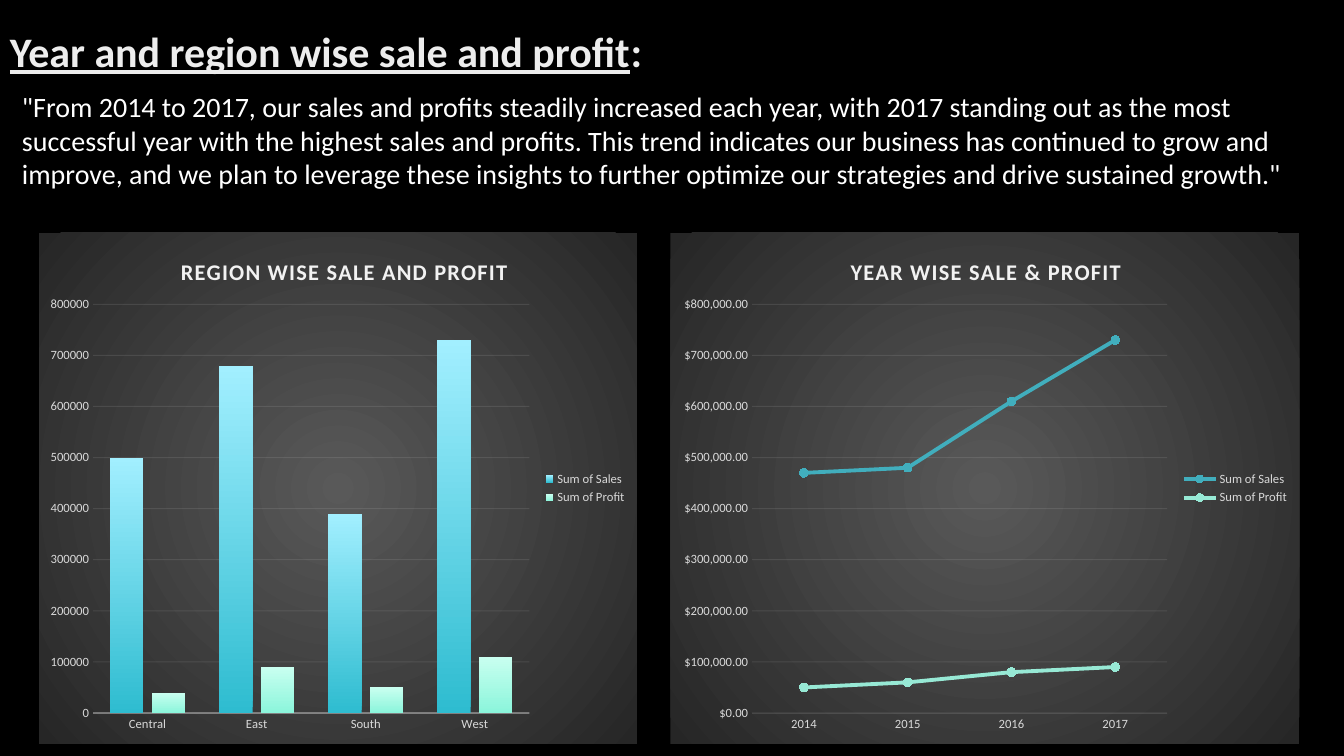
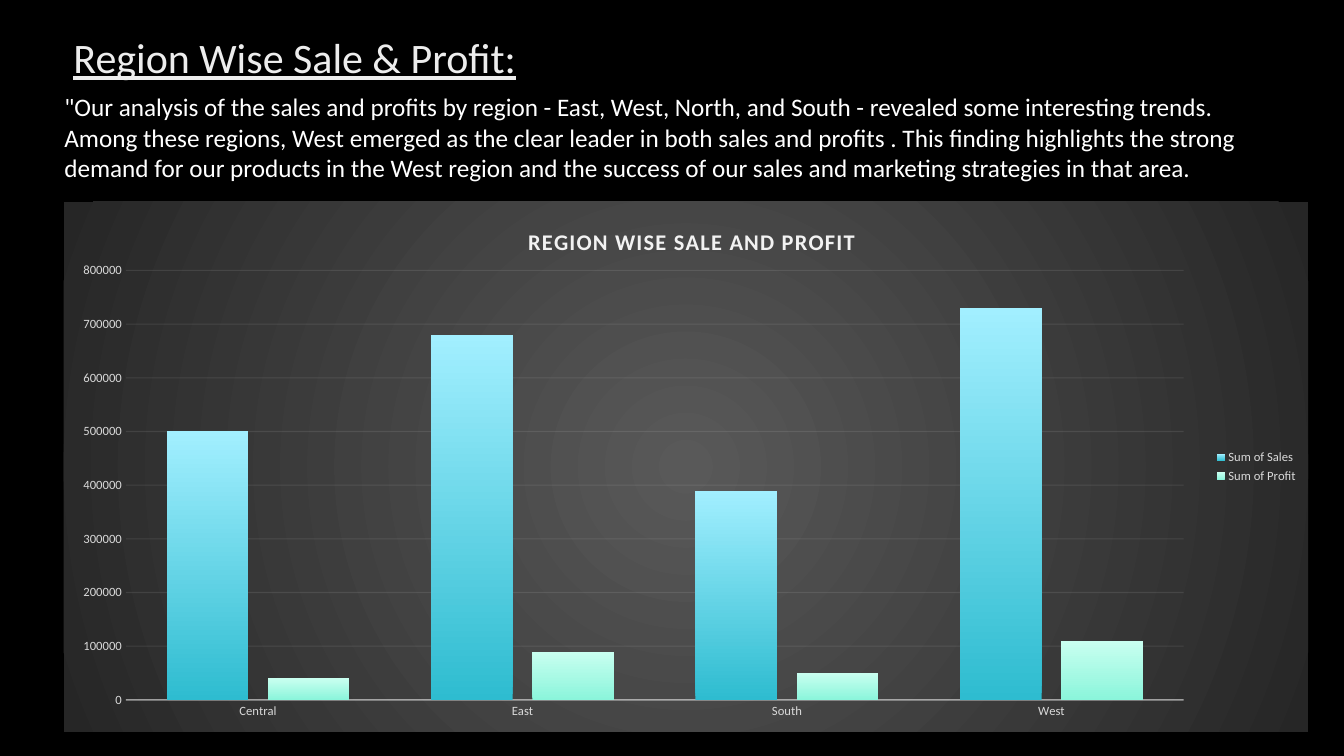
"""Build two dark slides showing sales and profit by region and by year."""
from lxml.etree import SubElement
from pptx import Presentation
from pptx.chart.data import CategoryChartData
from pptx.dml.color import RGBColor
from pptx.enum.chart import XL_CHART_TYPE as CT, XL_LEGEND_POSITION as LP
from pptx.enum.chart import XL_MARKER_STYLE as MS, XL_TICK_MARK as TM
from pptx.enum.text import MSO_ANCHOR as ANCHOR
from pptx.oxml import parse_xml
from pptx.oxml.ns import nsdecls, qn
from pptx.util import Pt

FONT = "Calibri"
WHITE, TITLE, LABEL, RULE = "FFFFFF", "EDEDED", "D9D9D9", "F2F2F2"
BAR_GRADIENTS = [("2EBCD0", "A2EFFF"), ("8BF5DB", "C9FFF0")]
LINE_COLOURS = ["41AEBD", "97E9D5"]
BACKDROP = f"""<c:spPr {nsdecls("c", "a")}><a:gradFill><a:gsLst>
<a:gs pos="0"><a:srgbClr val="595959"/></a:gs>
<a:gs pos="100000"><a:srgbClr val="262626"/></a:gs></a:gsLst>
<a:path path="circle"><a:fillToRect l="50000" t="50000" r="50000" b="50000"/></a:path>
</a:gradFill><a:ln><a:noFill/></a:ln></c:spPr>"""

REGIONS = ["Central", "East", "South", "West"]
REGION_SALES = [500000, 680000, 390000, 730000]
REGION_PROFIT = [40000, 90000, 50000, 110000]
YEARS = ["2014", "2015", "2016", "2017"]
YEAR_SALES = [470000, 480000, 610000, 730000]
YEAR_PROFIT = [50000, 60000, 80000, 90000]

BY_REGION = dict(kind=CT.COLUMN_CLUSTERED, title="REGION WISE SALE AND PROFIT",
                 cats=REGIONS, values=[REGION_SALES, REGION_PROFIT],
                 fmt="General", axis_line=(1, 54))
BY_YEAR = dict(kind=CT.LINE_MARKERS, title="YEAR WISE SALE & PROFIT",
               cats=YEARS, values=[YEAR_SALES, YEAR_PROFIT],
               fmt='"$"#,##0.00', axis_line=(0.75, 10))

SLIDES = [
    dict(title_box=(0, 8.6, 518, 60), bold=True,
         title=[("Year and region wise sale and profit", True), (":", False)],
         body_box=(8.6, 60.5, 940, 80), body_size=20,
         body='"From 2014 to 2017, our sales and profits steadily increased each year, '
              'with 2017 standing out as the most successful year with the highest sales '
              'and profits. This trend indicates our business has continued to grow and '
              'improve, and we plan to leverage these insights to further optimize our '
              'strategies and drive sustained growth."',
         charts=[(BY_REGION, (28, 166.3, 427, 365), (0.23, 0.04),
                  (0.09, 0.14, 0.73, 0.8)),
                 (BY_YEAR, (478.8, 166.3, 449.3, 365), (0.28, 0.04),
                  (0.13, 0.14, 0.66, 0.8))]),
    dict(title_box=(45.4, 14.4, 818, 57), bold=False,
         title=[("Region Wise Sale & Profit:", True)],
         body_box=(38.9, 62, 889, 72.7), body_size=18,
         body='"Our analysis of the sales and profits by region - East, West, North, and '
              'South - revealed some interesting trends. Among these regions, West emerged '
              'as the clear leader in both sales and profits . This finding highlights the '
              'strong demand for our products in the West region and the success of our '
              'sales and marketing strategies in that area.',
         charts=[(BY_REGION, (45.4, 144, 889, 378.7), (0.37, 0.04),
                  (0.05, 0.13, 0.85, 0.81))]),
]


def rgb(value):
    return RGBColor.from_string(value)


def style(font, size, colour, bold=False):
    font.name, font.size, font.bold = FONT, Pt(size), bold
    font.color.rgb = rgb(colour)


prs = Presentation()
prs.slide_width, prs.slide_height = Pt(960), Pt(540)

for page in SLIDES:
    slide = prs.slides.add_slide(prs.slide_layouts[6])
    slide.background.fill.solid()
    slide.background.fill.fore_color.rgb = rgb("000000")

    tf = slide.shapes.add_textbox(*map(Pt, page["title_box"])).text_frame
    tf.word_wrap, tf.vertical_anchor = True, ANCHOR.MIDDLE
    p = tf.paragraphs[0]
    p.line_spacing = 0.9
    for text, underlined in page["title"]:
        r = p.add_run()
        r.text = text
        style(r.font, 30, TITLE, page["bold"])
        r.font.underline = underlined

    for data, box, title_at, plot_at in page["charts"]:
        cd = CategoryChartData()
        cd.categories = data["cats"]
        for name, values in zip(["Sum of Sales", "Sum of Profit"], data["values"]):
            cd.add_series(name, values)
        chart = slide.shapes.add_chart(data["kind"], *map(Pt, box), cd).chart
        style(chart.font, 10, WHITE)
        chart._chartSpace.chart.addnext(parse_xml(BACKDROP))

        chart.has_title = True
        r = chart.chart_title.text_frame.paragraphs[0].add_run()
        r.text = data["title"]
        style(r.font, 16, RULE, True)
        r._r.get_or_add_rPr().set("spc", "100")

        chart.has_legend = True
        chart.legend.position = LP.RIGHT
        chart.legend.include_in_layout = False
        style(chart.legend.font, 9, LABEL)

        cat, val = chart.category_axis, chart.value_axis
        for axis in (cat, val):
            axis.major_tick_mark = axis.minor_tick_mark = TM.NONE
            style(axis.tick_labels.font, 9, LABEL)
        val.minimum_scale, val.maximum_scale, val.major_unit = 0, 800000, 100000
        val.tick_labels.number_format = data["fmt"]
        val.tick_labels.number_format_is_linked = False
        val.format.line.fill.background()
        for line, (width, opacity) in [(cat.format.line, data["axis_line"]),
                                       (val.major_gridlines.format.line, (0.75, 10))]:
            line.width = Pt(width)
            line.color.rgb = rgb(RULE)
            colour = line._ln.find(".//" + qn("a:srgbClr"))
            SubElement(colour, qn("a:alpha"), val=str(opacity * 1000))

        plot = chart.plots[0]
        plot.vary_by_categories = False
        if data["kind"] == CT.COLUMN_CLUSTERED:
            plot.gap_width, plot.overlap = 100, -24
            for series, colours in zip(plot.series, BAR_GRADIENTS):
                fill = series.format.fill
                fill.gradient()
                fill.gradient_angle = 90
                for stop, colour in zip(fill.gradient_stops, colours):
                    stop.color.rgb = rgb(colour)
        else:
            for series, colour in zip(plot.series, LINE_COLOURS):
                series.smooth = False
                series.format.line.width = Pt(2.75)
                series.format.line.color.rgb = rgb(colour)
                series.marker.style, series.marker.size = MS.CIRCLE, 6
                series.marker.format.fill.solid()
                series.marker.format.fill.fore_color.rgb = rgb(colour)
                series.marker.format.line.color.rgb = rgb(colour)

        area = chart._chartSpace.chart.plotArea
        for parent, index, place in [(chart.chart_title._element, 1, title_at),
                                     (area, 0, plot_at)]:
            for old in parent.findall(qn("c:layout")):
                parent.remove(old)
            layout = parse_xml(f'<c:layout {nsdecls("c")}><c:manualLayout/></c:layout>')
            if parent is area:
                SubElement(layout[0], qn("c:layoutTarget"), val="inner")
            for key in ("xMode", "yMode"):
                SubElement(layout[0], qn("c:" + key), val="edge")
            for key, value in zip("xywh", place):
                SubElement(layout[0], qn("c:" + key), val=str(value))
            parent.insert(index, layout)

    tf = slide.shapes.add_textbox(*map(Pt, page["body_box"])).text_frame
    tf.word_wrap = True
    r = tf.paragraphs[0].add_run()
    r.text = page["body"]
    style(r.font, page["body_size"], WHITE)

prs.save("out.pptx")
